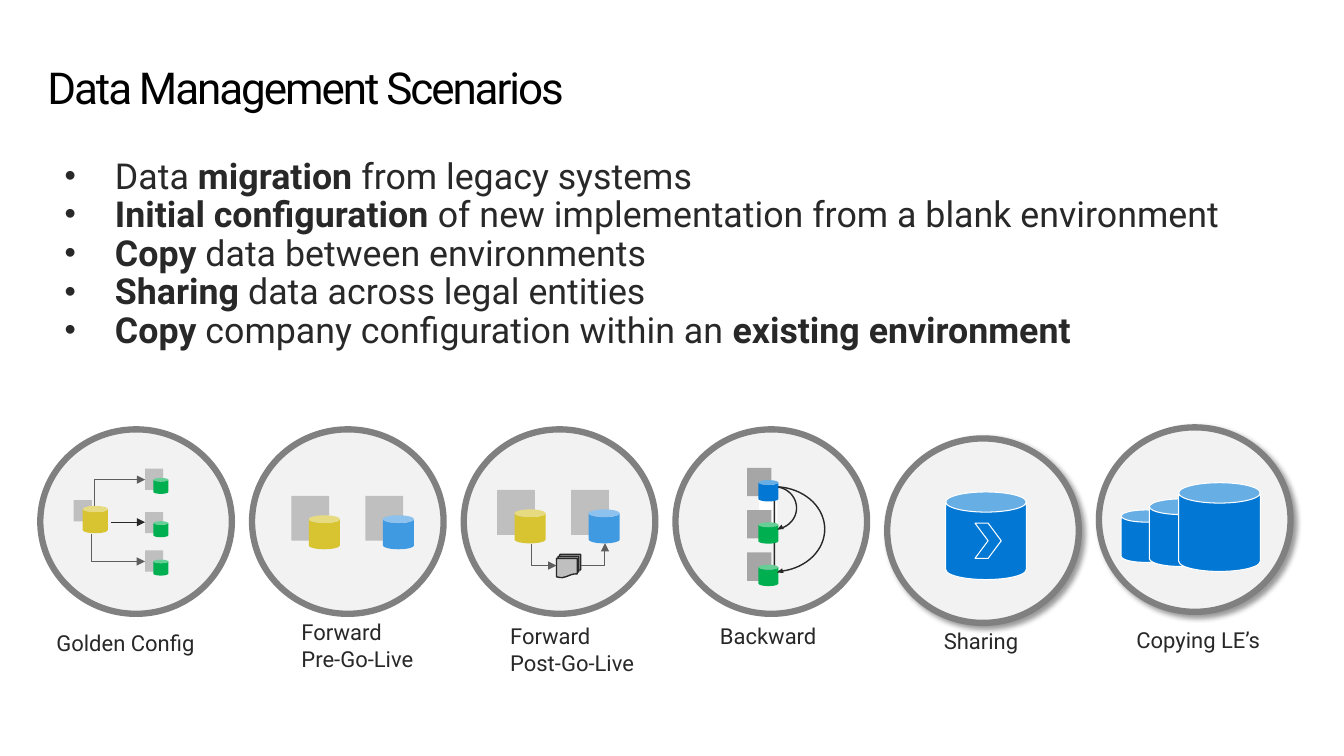
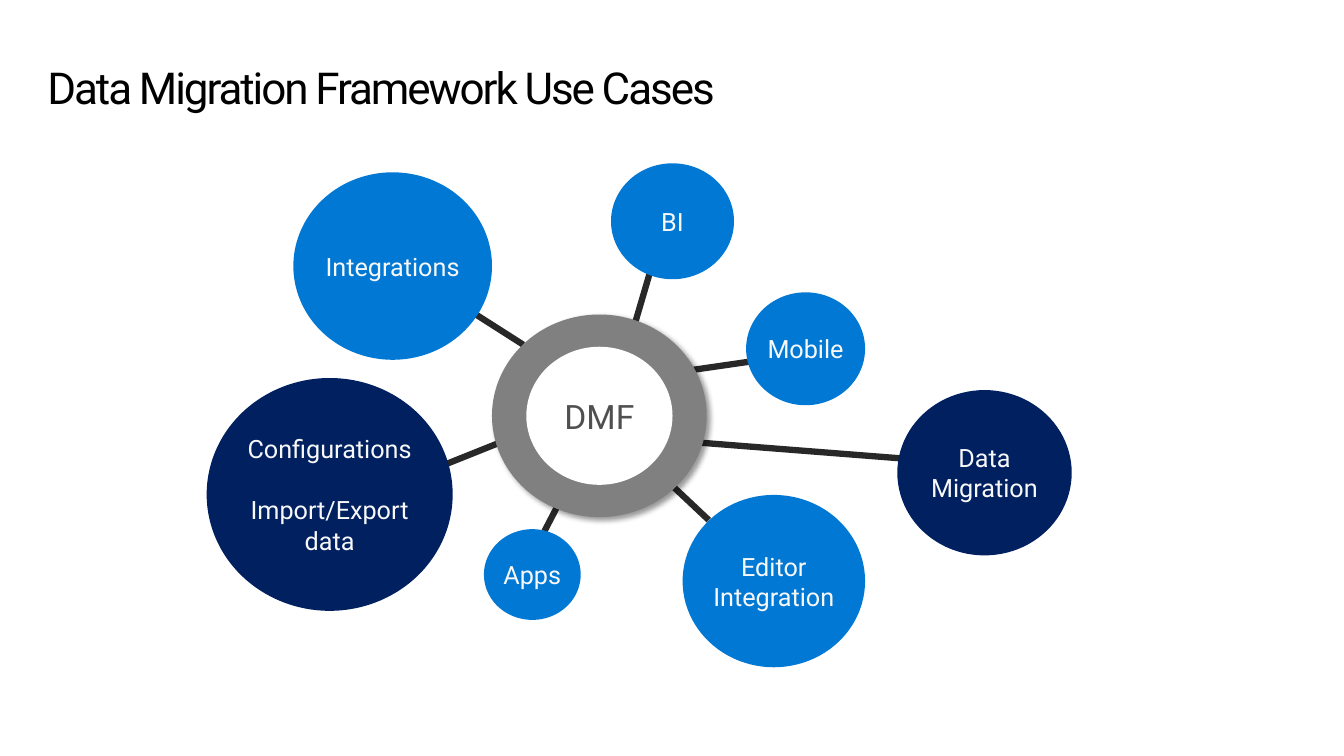
import math
import pptx
import pptx.util
import pptx.dml.color
import pptx.enum.shapes
import pptx.enum.text
import pptx.oxml
import pptx.oxml.ns

Pt = pptx.util.Pt
Inches = pptx.util.Inches
SHAPE = pptx.enum.shapes.MSO_SHAPE
LINK = pptx.enum.shapes.MSO_CONNECTOR
ALIGN = pptx.enum.text.PP_ALIGN
ANCHOR = pptx.enum.text.MSO_ANCHOR
qn = pptx.oxml.ns.qn

FONT = "Roboto"
GRID = 0.1
COLORS = {
    "black": "000000", "ink": "282828", "white": "FFFFFF", "pale": "F2F2F2",
    "ring": "808080", "server": "BFBFBF", "dark_server": "A6A6A6",
    "wire": "5E5E5E", "gold": "D8C430", "sky": "409AE1", "green": "00B050",
    "blue": "0278D4", "azure": "0078D4", "navy": "002060",
    "label": "F8F8F8", "hub_text": "505050",
}


def rgb(name):
    return pptx.dml.color.RGBColor.from_string(COLORS[name])


def cell(col, row, cols, rows):
    return tuple(v * GRID for v in (col, row, cols, rows))


def point(box, x, y):
    return box[0] + box[2] * x / 100, box[1] + box[3] * y / 100


def part(box, x, y, w, h):
    return (*point(box, x, y), box[2] * w / 100, box[3] * h / 100)


def inches(values):
    return [Inches(v) for v in values]


def add_xml(parent, tag, **attrs):
    el = parent.makeelement(qn(tag), attrs)
    parent.append(el)
    return el


def style_font(font, size, color, bold=False):
    font.name = FONT
    font.size = Pt(size)
    font.bold = bold
    font.color.rgb = rgb(color)


def set_frame(tf, anchor=ANCHOR.TOP, top=0):
    tf.word_wrap = True
    tf.auto_size = pptx.enum.text.MSO_AUTO_SIZE.NONE
    tf.vertical_anchor = anchor
    tf.margin_left = tf.margin_right = tf.margin_bottom = 0
    tf.margin_top = Inches(top)


def paint(sp, fill, line=None, width=0.75):
    sp.shadow.inherit = False
    if fill:
        sp.fill.solid()
        sp.fill.fore_color.rgb = rgb(fill)
    else:
        sp.fill.background()
    if line:
        sp.line.color.rgb = rgb(line)
        sp.line.width = Pt(width)
    else:
        sp.line.fill.background()


def add_shape(s, kind, box, fill, line=None, width=0.75):
    sp = s.shapes.add_shape(kind, *inches(box))
    paint(sp, fill, line, width)
    return sp


def cast_shadow(sp):
    effects = sp._element.spPr.find(qn("a:effectLst"))
    shadow = add_xml(effects, "a:outerShdw", blurRad=str(Pt(4)), dist=str(Pt(3)),
                     dir="2700000", algn="tl", rotWithShape="0")
    color = add_xml(shadow, "a:srgbClr", val=COLORS["black"])
    add_xml(color, "a:alpha", val="40000")


def add_link(s, start, end, color, width=0.75, kind=LINK.STRAIGHT, arrow=True):
    cn = s.shapes.add_connector(kind, *inches((*start, *end)))
    cn.line.color.rgb = rgb(color)
    cn.line.width = Pt(width)
    if arrow:
        add_xml(cn.line._get_or_add_ln(), "a:tailEnd", type="triangle")
    add_xml(cn._element.spPr, "a:effectLst")
    return cn


def elbow(s, start, end, down_first=True):
    cn = add_link(s, start, end, "wire", kind=LINK.ELBOW)
    geom = cn._element.spPr.find(qn("a:prstGeom"))
    if down_first:
        add_xml(geom.find(qn("a:avLst")), "a:gd", name="adj1", fmla="val 0")
    else:
        geom.set("prst", "bentConnector2")


def add_slide(prs, title):
    s = prs.slides.add_slide(prs.slide_layouts[5])
    sp = s.shapes.title
    sp.left, sp.top, sp.width, sp.height = inches(cell(4.7, 4.8, 124, 8.1))
    tf = sp.text_frame
    tf.text = title
    set_frame(tf, top=0.18)
    p = tf.paragraphs[0]
    p.alignment = ALIGN.LEFT
    p.line_spacing = 0.9
    r = p.runs[0]
    style_font(r.font, 31.4, "black")
    r._r.get_or_add_rPr().set("spc", "-150")
    return s


def bullet_list(s, box, lines):
    tf = s.shapes.add_textbox(*inches(box)).text_frame
    set_frame(tf)
    for i, line in enumerate(lines):
        p = tf.add_paragraph() if i else tf.paragraphs[0]
        p.line_spacing = 0.9
        pPr = p._p.get_or_add_pPr()
        pPr.set("marL", str(Inches(0.5)))
        pPr.set("indent", str(-Inches(0.5)))
        add_xml(pPr, "a:buSzPct", val="90000")
        add_xml(pPr, "a:buFont", typeface="Arial")
        add_xml(pPr, "a:buChar", char="•")
        for k, text in enumerate(line.split("*")):
            if text:
                r = p.add_run()
                r.text = text
                style_font(r.font, 25.5, "ink", bold=k % 2 == 1)


def server(s, box, can, back="server"):
    add_shape(s, SHAPE.RECTANGLE, part(box, 0, 0, 78, 84), back)
    add_shape(s, SHAPE.CAN, part(box, 36, 36.5, 64, 63.5), can)


def golden_icon(s, box):
    for y in (21.3, 44.8, 65.6):
        server(s, part(box, 54.7, y, 12.1, 13.7), "green")
    add_shape(s, SHAPE.RECTANGLE, part(box, 17.4, 38.3, 9.5, 11.5), "server")
    add_link(s, point(box, 36.8, 50.3), point(box, 54.7, 50.3), "ink")
    add_shape(s, SHAPE.CAN, part(box, 22.1, 41.5, 13.2, 14.8), "gold")
    elbow(s, point(box, 26.8, 56.8), point(box, 54.7, 71.6))
    elbow(s, point(box, 28.4, 41.5), point(box, 54.7, 27.3))


def server_pair(s, box, x, y):
    for i, can in enumerate(("gold", "sky")):
        server(s, part(box, x + 38.7 * i, y, 25.3, 29), can)


def pre_live_icon(s, box):
    server_pair(s, box, 20.5, 36)


def post_live_icon(s, box):
    server_pair(s, box, 17.4, 32.8)
    add_shape(s, SHAPE.FLOWCHART_MULTIDOCUMENT, part(box, 48.4, 67.8, 12.6, 12.6),
              "server", "ink", 1)
    elbow(s, point(box, 35.3, 62.3), point(box, 48.4, 73.8))
    elbow(s, point(box, 61.1, 73.8), point(box, 73.7, 61.7), down_first=False)


def half_ring(s, box, cx, cy, rx, ry):
    angles = [math.radians(a) for a in range(-90, 91, 5)]
    dots = [inches(point(box, cx + rx * math.cos(a), cy + ry * math.sin(a)))
            for a in angles]
    fb = s.shapes.build_freeform(*dots[0])
    fb.add_line_segments(dots[1:], close=True)
    paint(fb.convert_to_shape(), None, "ink", 1)


def backward_icon(s, box):
    half_ring(s, box, 51.6, 42.6, 11.6, 11.5)
    add_shape(s, SHAPE.RECTANGLE, part(box, 43.7, 28.4, 9.5, 26.2), "white")
    half_ring(s, box, 51.6, 54.1, 26.3, 23)
    for y, can in ((20.8, "blue"), (43.7, "green"), (66.7, "green")):
        server(s, part(box, 37.4, y, 16.3, 18.3), can, "dark_server")
    for y, angle in ((75.4, 252.7), (51.9, 243.2)):
        tip = add_shape(s, SHAPE.ISOSCELES_TRIANGLE, part(box, 53.2, y, 2.6, 3.3), "ink")
        tip.rotation = angle


def sharing_icon(s, box):
    add_shape(s, SHAPE.CAN, part(box, 30.5, 29, 42.1, 47.5), "blue", "white")
    add_shape(s, SHAPE.CHEVRON, part(box, 45.8, 45.9, 13.7, 19.1), "azure", "white")


def copying_icon(s, box):
    for x, y, w, h in ((11.6, 44.8, 25.3, 28.4), (26.3, 38.8, 32.6, 36.6),
                       (41.6, 30, 42.6, 48.1)):
        add_shape(s, SHAPE.CAN, part(box, x, y, w, h), "blue", "white")


def badge(s, box, icon, label, x, y, raised):
    ring = add_shape(s, SHAPE.OVAL, box, "pale", "ring", 4.5)
    if raised:
        cast_shadow(ring)
    icon(s, box)
    tf = s.shapes.add_textbox(*inches(part(box, x, y, 84, 29))).text_frame
    set_frame(tf)
    tf.text = label
    for p in tf.paragraphs:
        style_font(p.runs[0].font, 15.7, "ink")


def bubble(s, box, text, fill, size=18, color="label", gap=0):
    sp = add_shape(s, SHAPE.OVAL, box, fill)
    tf = sp.text_frame
    tf.text = text
    set_frame(tf, ANCHOR.MIDDLE)
    for p in tf.paragraphs:
        p.alignment = ALIGN.CENTER
        style_font(p.runs[0].font, size, color)
    if gap:
        tf.paragraphs[0].space_after = Pt(gap)


def hub_diagram(s, box, bubbles):
    for start, end in (b[3] for b in bubbles):
        add_link(s, point(box, *start), point(box, *end), "ink", 4.5, arrow=False)
    cast_shadow(add_shape(s, SHAPE.OVAL, part(box, 28.8, 32.4, 21.3, 40.2), "ring"))
    bubble(s, part(box, 32.2, 38.8, 14.5, 27.4), "DMF", "white", 24, "hub_text")
    for text, fill, area, _, gap in bubbles:
        bubble(s, part(box, *area), text, fill, gap=gap)


def scenarios_slide(prs):
    s = add_slide(prs, "Data Management Scenarios")
    bullet_list(s, cell(6.4, 15.7, 120.5, 19.3), [
        "Data *migration* from legacy systems",
        "*Initial configuration *of new implementation from a blank environment",
        "*Copy* data between environments",
        "*Sharing* data across legal entities",
        "*Copy* company configuration within an *existing environment*",
    ])
    badges = [
        (golden_icon, "Golden Config", 42.6, 8.4, 108.7, False),
        (pre_live_icon, "Forward\nPre-Go-Live", 42.6, 25.8, 102.7, False),
        (post_live_icon, "Forward\nPost-Go-Live", 42.6, 24.2, 104.9, False),
        (backward_icon, "Backward", 42.6, 23.2, 104.9, False),
        (sharing_icon, "Sharing", 43.5, 29.5, 102.7, True),
        (copying_icon, "Copying LE’s", 42.4, 19.5, 108.2, True),
    ]
    for i, (icon, label, row, x, y, raised) in enumerate(badges):
        badge(s, cell(4 + 21 * i, row, 19, 18.3), icon, label, x, y, raised)


def use_cases_slide(prs):
    s = add_slide(prs, "Data Migration Framework Use Cases")
    hub_diagram(s, cell(20, 15, 100, 50), [
        ("Integrations", "azure", (9.1, 4.2, 19.7, 37.2), ((27.2, 32.4), (31.9, 38.4)), 0),
        ("Editor\nIntegration", "azure", (47.7, 68.2, 18.1, 34.2), ((46.9, 66.8), (50.3, 73.2)), 0),
        ("Data\nMigration", "navy", (69, 47.4, 17.3, 32.8), ((49.2, 57.8), (69.7, 61)), 0),
        ("Apps", "azure", (28, 75, 9.6, 18), ((35.4, 70), (34, 75.4)), 0),
        ("Mobile", "azure", (54, 28, 11.8, 22.4), ((48.7, 43.4), (55.6, 41.4)), 0),
        ("BI", "azure", (40.6, 2.4, 12.2, 23), ((43, 34), (44.5, 23.8)), 0),
        ("Configurations\nImport/Export data", "navy", (0.5, 45, 24.4, 46.2),
         ((24.1, 62.2), (29.6, 57.8)), 22),
    ])


def main():
    prs = pptx.Presentation()
    prs.slide_width, prs.slide_height = Inches(13.33), Inches(7.5)
    scenarios_slide(prs)
    use_cases_slide(prs)
    prs.save("out.pptx")


if __name__ == "__main__":
    main()
